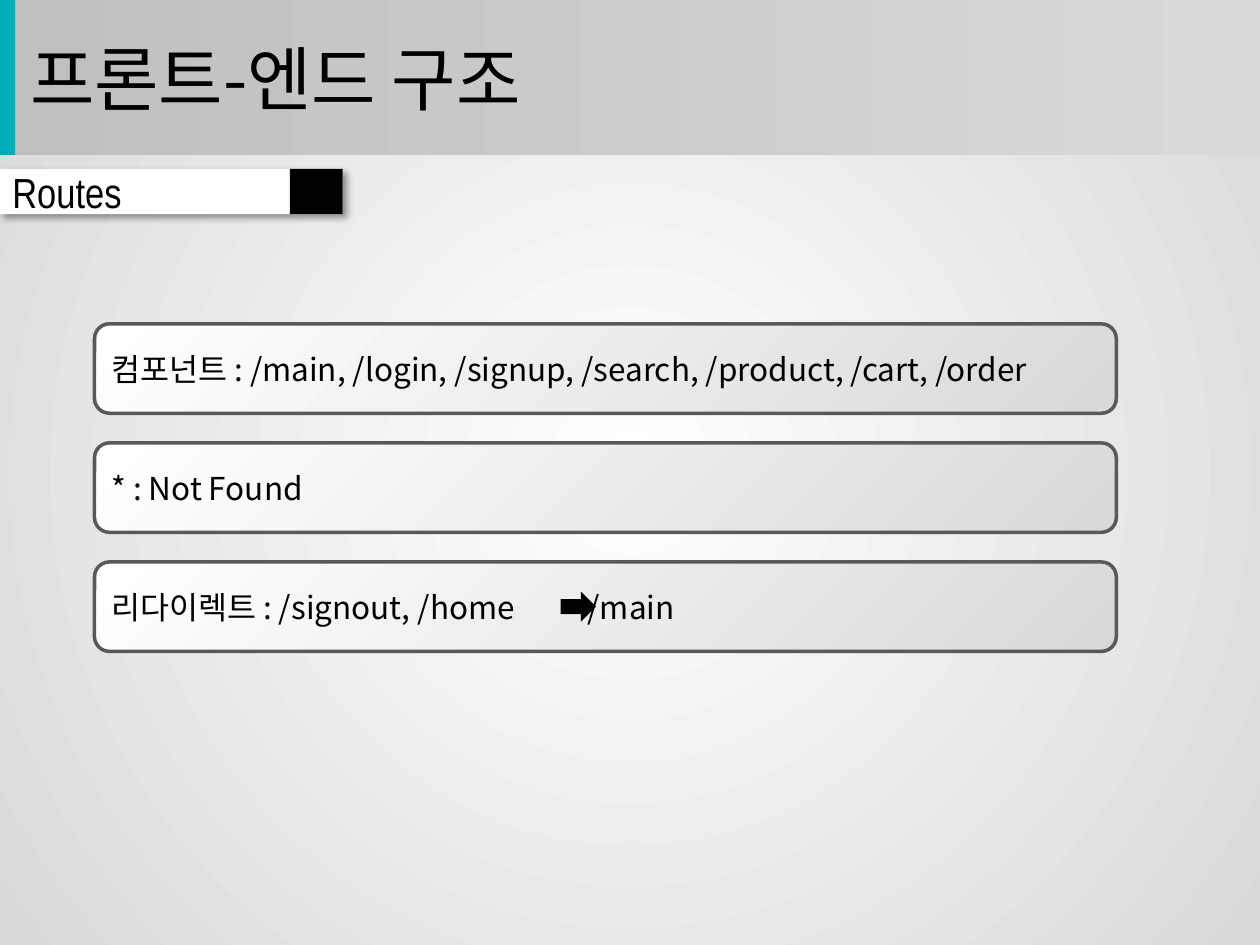
from lxml.etree import SubElement
from pptx import Presentation
from pptx.dml.color import RGBColor
from pptx.enum.shapes import MSO_SHAPE
from pptx.enum.text import MSO_ANCHOR, PP_ALIGN
from pptx.oxml import parse_xml
from pptx.oxml.ns import nsdecls, qn
from pptx.util import Inches, Pt

# Content
TITLE = "프론트-엔드 구조"
SECTION = "Routes"
ROUTES = [
    "컴포넌트 : /main, /login, /signup, /search, /product, /cart, /order",
    "* : Not Found",
    "리다이렉트 : /signout, /home\t/main",
]

# Style
BLACK = RGBColor(0, 0, 0)
WHITE = RGBColor(0xFF, 0xFF, 0xFF)
TEAL = RGBColor(0x00, 0xAD, 0xB5)
LIGHT = RGBColor(0xD9, 0xD9, 0xD9)
SILVER = RGBColor(0xBF, 0xBF, 0xBF)
BORDER = RGBColor(0x59, 0x59, 0x59)
KOREAN, LATIN = "Noto Sans CJK KR", "Arial Narrow"

# Layout, in inches
WIDTH, HEADER_H = 10, 1.23
TAG_TOP, TAG_W, TAG_H, TAG_END_W = 1.34, 2.72, 0.36, 0.42
BOX_LEFT, BOX_TOP, BOX_W, BOX_H, BOX_STEP = 0.75, 2.57, 8.11, 0.71, 0.945
ARROW_LEFT, ARROW_W, ARROW_H = 4.45, 0.28, 0.24
TARGET_TAB = 3.78


def set_gradient(fill, start, end, angle=0):
    fill.gradient()
    fill.gradient_angle = angle
    for stop, color in zip(fill.gradient_stops, (start, end)):
        stop.color.rgb = color


def add_box(shapes, kind, left, top, width, height, color=None):
    s = shapes.add_shape(kind, *map(Inches, (left, top, width, height)))
    s.shadow.inherit = False
    s.line.fill.background()
    if color is not None:
        s.fill.solid()
        s.fill.fore_color.rgb = color
    return s


def set_text(s, text, size, font, margin=0.1):
    tf = s.text_frame
    tf.word_wrap = True
    tf.vertical_anchor = MSO_ANCHOR.MIDDLE
    tf.margin_left = Inches(margin)
    p = tf.paragraphs[0]
    p.alignment = PP_ALIGN.LEFT
    r = p.add_run()
    r.text = text
    p.font.size, p.font.name, p.font.color.rgb = Pt(size), font, BLACK
    r.font.size, r.font.name, r.font.color.rgb = Pt(size), font, BLACK
    SubElement(r.font._element, qn("a:ea"), typeface=font)
    return p


def add_shadow(s):
    effects = s._element.spPr.find(qn("a:effectLst"))
    effects.append(parse_xml(
        f'<a:outerShdw {nsdecls("a")} blurRad="{Pt(4)}" dist="{Pt(3)}" dir="2700000" '
        'algn="tl" rotWithShape="0"><a:srgbClr val="000000">'
        '<a:alpha val="40000"/></a:srgbClr></a:outerShdw>'))


prs = Presentation()
prs.slide_width, prs.slide_height = Inches(WIDTH), Inches(7.5)
slide = prs.slides.add_slide(prs.slide_layouts[6])

# Radial background
set_gradient(slide.background.fill, WHITE, LIGHT)
grad = slide._element.find(".//" + qn("a:gradFill"))
grad.replace(grad.find(qn("a:lin")), parse_xml(
    f'<a:path {nsdecls("a")} path="circle">'
    '<a:fillToRect l="50000" t="50000" r="50000" b="50000"/></a:path>'))

# Title band
header = slide.shapes.add_group_shape().shapes
band = add_box(header, MSO_SHAPE.RECTANGLE, 0, 0, WIDTH, HEADER_H)
set_gradient(band.fill, SILVER, LIGHT)
set_text(band, TITLE, 40, KOREAN, margin=0.24)
add_box(header, MSO_SHAPE.RECTANGLE, 0, 0, 0.12, HEADER_H, TEAL)

# Section tag
tag = slide.shapes.add_group_shape().shapes
label = add_box(tag, MSO_SHAPE.RECTANGLE, 0, TAG_TOP, TAG_W, TAG_H, WHITE)
add_shadow(label)
set_text(label, SECTION, 24, LATIN)
add_box(tag, MSO_SHAPE.RECTANGLE, TAG_W - TAG_END_W, TAG_TOP, TAG_END_W, TAG_H, BLACK)

# Route boxes
for i, route in enumerate(ROUTES):
    top = BOX_TOP + i * BOX_STEP
    box = add_box(slide.shapes, MSO_SHAPE.ROUNDED_RECTANGLE, BOX_LEFT, top, BOX_W, BOX_H)
    set_gradient(box.fill, WHITE, LIGHT, angle=315)
    box.line.color.rgb = BORDER
    box.line.width = Pt(2)
    p = set_text(box, route, 18, KOREAN)
    if "\t" in route:
        # Redirect target after the arrow
        tabs = parse_xml(f'<a:tabLst {nsdecls("a")}>'
                         f'<a:tab pos="{Inches(TARGET_TAB)}" algn="l"/></a:tabLst>')
        p._p.get_or_add_pPr().insert(0, tabs)
        add_box(slide.shapes, MSO_SHAPE.RIGHT_ARROW, ARROW_LEFT,
                top + (BOX_H - ARROW_H) / 2, ARROW_W, ARROW_H, BLACK)

prs.save("out.pptx")
